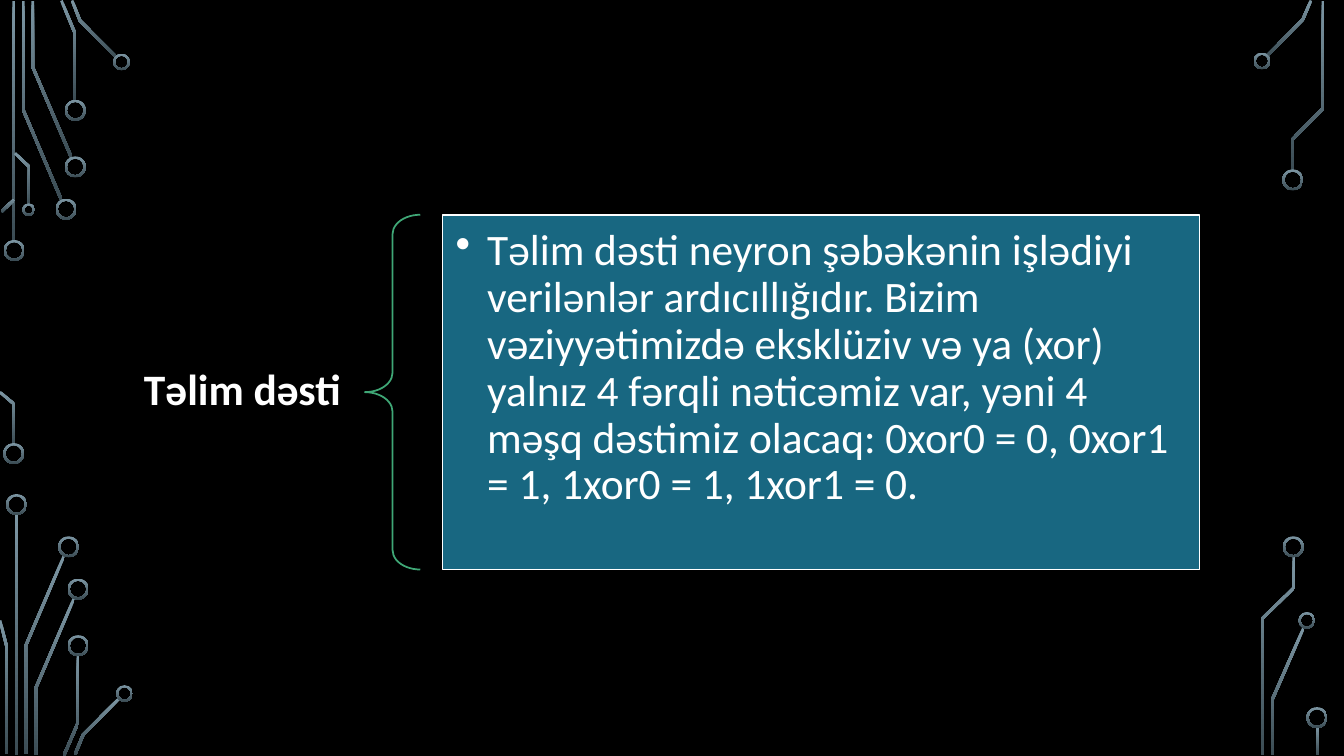
import math

from lxml import etree
from pptx import Presentation
from pptx.dml.color import RGBColor
from pptx.enum.shapes import MSO_SHAPE
from pptx.enum.text import MSO_ANCHOR, PP_ALIGN
from pptx.oxml.ns import qn
from pptx.util import Pt

RECTANGLE, DONUT, LEFT_BRACE = MSO_SHAPE.RECTANGLE, MSO_SHAPE.DONUT, MSO_SHAPE.LEFT_BRACE
TOP, MIDDLE = MSO_ANCHOR.TOP, MSO_ANCHOR.MIDDLE
LEFT, RIGHT = PP_ALIGN.LEFT, PP_ALIGN.RIGHT

COLORS = {"background": "000000", "circuit_top": "7C96A3", "circuit_bottom": "3B4C54",
          "brace": "3FA776", "panel": "186781", "text": "FFFFFF"}

# Circuit tracks as left, top, height
BARS = [(8.9, 0.7, 172), (10.8, 367.2, 172), (940.1, 519, 20.2)]

# Bent circuit tracks as centre lines
TRACKS = [
    # Top left
    [(43.9, 142.9), (16.6, 78.5), (16.6, 0.7)],
    [(51.1, 112.7), (23.4, 47.9), (23.4, 0.7)],
    [(53.6, 72), (53.6, 23.8), (43.9, 0.4)],
    [(83.2, 41), (57.2, 14.8), (51.5, 0.4)],
    [(1.1, 151.2), (10.1, 142.6)],
    [(20.9, 146.2), (20.9, 119.2), (10.8, 109.4)],
    # Bottom left
    [(10.1, 317.5), (10.1, 288.7), (0, 280.1)],
    [(18.4, 538.6), (18.4, 461.2), (45.7, 397.1)],
    [(4.7, 538.6), (4.7, 461.5), (0, 443.2)],
    [(25.6, 539.3), (25.6, 491.4), (52.9, 427.3)],
    [(45.7, 539.6), (55.8, 516.2), (55.8, 468)],
    [(53.6, 538.9), (59.4, 524.9), (85, 499)],
    # Right
    [(905, 40), (930.6, 14), (936.4, 0.4)],
    [(923, 121.7), (923, 99.7), (945, 77.4), (945, 0.7)],
    [(909, 539.3), (909, 499.3), (931, 448.9)],
    [(901.8, 539.3), (901.8, 441.7), (924.1, 420.1), (924.1, 397.4)],
]

# Ring centres by diameter
RINGS = {
    15: [(10.1, 178.9), (9.8, 324), (47.2, 149.4), (53.8, 119.2), (53.8, 78.8),
         (11.8, 360.4), (49, 390.6), (55.8, 420.8), (55.8, 461.2),
         (923.4, 128.5), (923.8, 390.6), (940.7, 512.6)],
    12: [(86.8, 44.3), (88.9, 495.4), (901.4, 43.6), (933.5, 443.2)],
    9: [(20.5, 149.8)],
}

LABEL = "Təlim dəsti"
EXPLANATION = ("Təlim dəsti neyron şəbəkənin işlədiyi verilənlər ardıcıllığıdır. "
               "Bizim vəziyyətimizdə eksklüziv və ya (xor) yalnız 4 fərqli nəticəmiz var, "
               "yəni 4 məşq dəstimiz olacaq: 0xor0 = 0, 0xor1 = 1, 1xor0 = 1, 1xor1 = 0.")


def outline(points, width):
    """Return the polygon around a centre line, with mitred corners."""
    normals = []
    for (x1, y1), (x2, y2) in zip(points, points[1:]):
        length = math.hypot(x2 - x1, y2 - y1)
        normals.append(((y1 - y2) / length, (x2 - x1) / length))
    one_side, other_side = [], []
    for (x, y), (ax, ay), (bx, by) in zip(points, normals[:1] + normals, normals + normals[-1:]):
        scale = width / 2 / (1 + ax * bx + ay * by)
        dx, dy = (ax + bx) * scale, (ay + by) * scale
        one_side.append((x + dx, y + dy))
        other_side.append((x - dx, y - dy))
    return one_side + other_side[::-1]


class SlideBuilder:
    font_name = "Calibri"
    font_size = 31
    track_width = 2
    ring_width = 1.5
    line_width = 1.25

    def __init__(self, slide):
        self.slide = slide
        self.shapes = slide.shapes

    def color(self, name):
        return RGBColor.from_string(COLORS[name])

    def background(self, name):
        fill = self.slide.background.fill
        fill.solid()
        fill.fore_color.rgb = self.color(name)

    def shape(self, kind, left, top, width, height, fill=None, line=None):
        shape = self.shapes.add_shape(kind, Pt(left), Pt(top), Pt(width), Pt(height))
        shape.shadow.inherit = False
        if fill:
            shape.fill.solid()
            shape.fill.fore_color.rgb = self.color(fill)
        else:
            shape.fill.background()
        if line:
            shape.line.color.rgb = self.color(line)
            shape.line.width = Pt(self.line_width)
        else:
            shape.line.fill.background()
        return shape

    def circuit_fill(self, shape):
        shape.fill.gradient()
        shape.fill.gradient_angle = 270
        for stop, name in zip(shape.fill.gradient_stops, ("circuit_top", "circuit_bottom")):
            stop.color.rgb = self.color(name)

    def bar(self, left, top, height):
        self.circuit_fill(self.shape(RECTANGLE, left, top, self.track_width, height))

    def track(self, points):
        corners = [(Pt(x), Pt(y)) for x, y in outline(points, self.track_width)]
        builder = self.shapes.build_freeform(*corners[0])
        builder.add_line_segments(corners[1:], close=True)
        shape = builder.convert_to_shape()
        shape.shadow.inherit = False
        shape.line.fill.background()
        self.circuit_fill(shape)

    def ring(self, x, y, diameter):
        shape = self.shape(DONUT, x - diameter / 2, y - diameter / 2, diameter, diameter)
        shape.adjustments[0] = self.ring_width / diameter
        self.circuit_fill(shape)

    def brace(self, left, top, width, height):
        shape = self.shape(LEFT_BRACE, left, top, width, height, line="brace")
        shape.adjustments[0] = 0.35

    def set_text(self, shape, text, align, anchor, side_margin, edge_margin, bold=False):
        frame = shape.text_frame
        frame.word_wrap = True
        frame.vertical_anchor = anchor
        frame.margin_left = frame.margin_right = Pt(side_margin)
        frame.margin_top = frame.margin_bottom = Pt(edge_margin)
        paragraph = frame.paragraphs[0]
        paragraph.text = text
        paragraph.alignment = align
        paragraph.line_spacing = 0.9
        font = paragraph.font
        font.name, font.size, font.bold = self.font_name, Pt(self.font_size), bold
        font.color.rgb = self.color("text")
        return paragraph

    def label(self, text, left, top, width, height):
        box = self.shapes.add_textbox(Pt(left), Pt(top), Pt(width), Pt(height))
        self.set_text(box, text, RIGHT, MIDDLE, 17.3, 6.5, bold=True)

    def bullet_panel(self, text, left, top, width, height):
        panel = self.shape(RECTANGLE, left, top, width, height, "panel", "text")
        paragraph = self.set_text(panel, text, LEFT, TOP, 9.4, 9.4)
        # Hanging bullet
        properties = paragraph._p.get_or_add_pPr()
        properties.set("marL", str(Pt(22.5)))
        properties.set("indent", str(-Pt(22.5)))
        bullet = etree.Element(qn("a:buChar"), char="•")
        properties.insert_element_before(bullet, "a:tabLst", "a:defRPr", "a:extLst")


def main():
    presentation = Presentation()
    presentation.slide_width, presentation.slide_height = Pt(960), Pt(540)
    builder = SlideBuilder(presentation.slides.add_slide(presentation.slide_layouts[6]))
    builder.background("background")

    # Circuit decoration
    for bar in BARS:
        builder.bar(*bar)
    for track in TRACKS:
        builder.track(track)
    for diameter, centres in RINGS.items():
        for x, y in centres:
            builder.ring(x, y, diameter)

    # Label, brace and explanation
    top, height = 153.4, 253.4
    builder.label(LABEL, 61.9, 255.6, 198.7, 48.2)
    builder.brace(260.6, top, 39.6, height)
    builder.bullet_panel(EXPLANATION, 316.1, top, 540.7, height)

    presentation.save("out.pptx")


if __name__ == "__main__":
    main()
